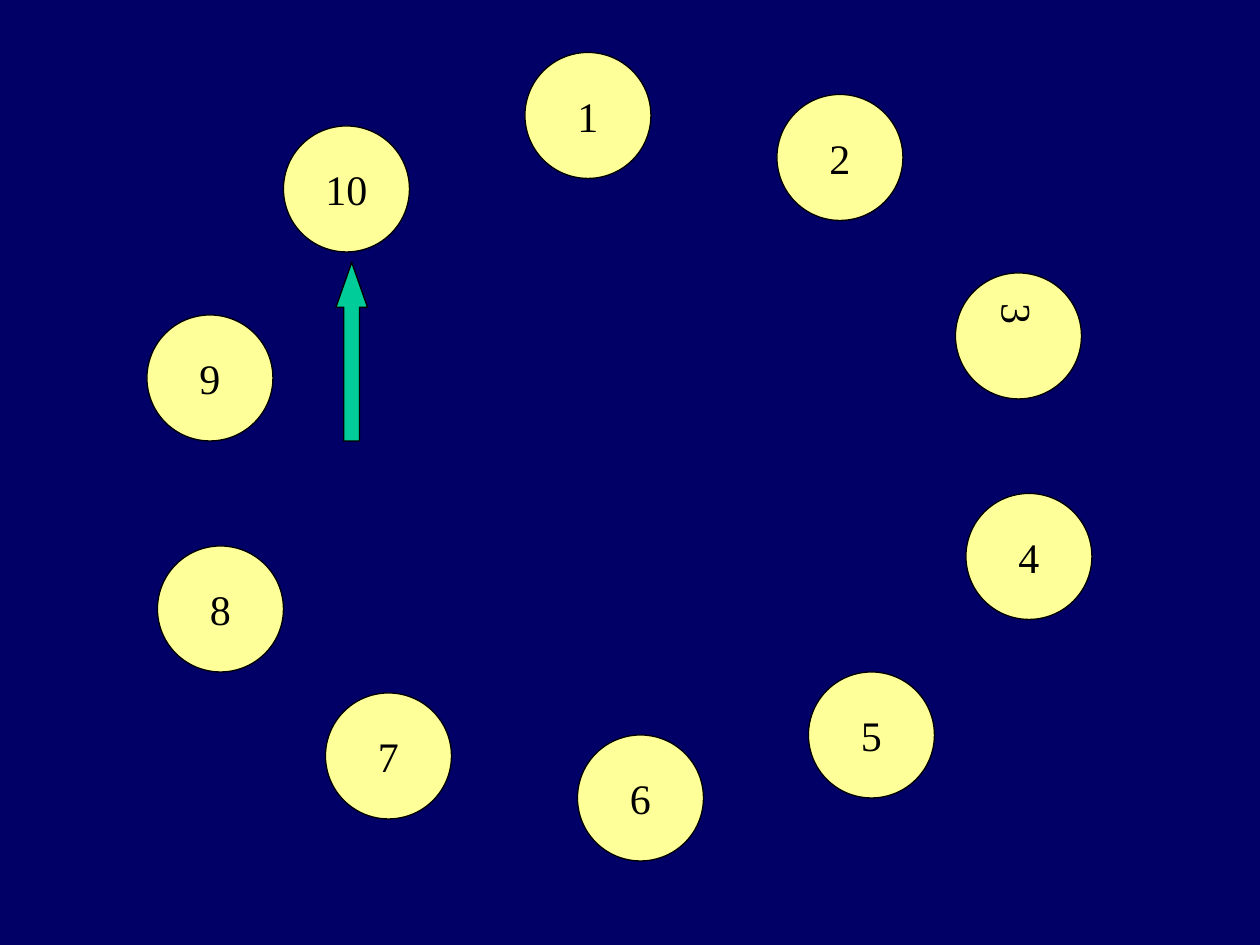
import dataclasses

import pptx
import pptx.dml.color
import pptx.enum.shapes
import pptx.enum.text
import pptx.util

SHAPES = pptx.enum.shapes.MSO_SHAPE
COLUMNS, ROWS = 120, 90
CELL = pptx.util.Inches(10) // COLUMNS
DIAMETER = 12

# Column and row of each circle, numbered clockwise from 1.
CIRCLES = [
    (50, 5), (74, 9), (91, 26), (92, 47), (77, 64),
    (55, 70), (31, 66), (15, 52), (14, 30), (27, 12),
]
SIDEWAYS_NUMBER = 3


@dataclasses.dataclass(frozen=True)
class Theme:
    background: str = "000066"
    circle: str = "FFFF99"
    arrow: str = "00CC99"
    ink: str = "000000"
    font: str = "Times New Roman"
    text_size: float = 24
    line_width: float = 0.75


THEME = Theme()


def rgb(value):
    return pptx.dml.color.RGBColor.from_string(value)


def add_outlined_shape(page, kind, column, row, columns, rows, color):
    """Add a filled preset shape placed on the grid."""
    shape = page.shapes.add_shape(
        kind, column * CELL, row * CELL, columns * CELL, rows * CELL)
    shape.shadow.inherit = False
    shape.fill.solid()
    shape.fill.fore_color.rgb = rgb(color)
    shape.line.color.rgb = rgb(THEME.ink)
    shape.line.width = pptx.util.Pt(THEME.line_width)
    return shape


def write_text(shape, text, *, size=THEME.text_size, color=THEME.ink,
               font=THEME.font, sideways=False):
    frame = shape.text_frame
    frame.word_wrap = False
    frame.vertical_anchor = pptx.enum.text.MSO_ANCHOR.MIDDLE
    if sideways:
        frame._txBody.bodyPr.set("vert", "eaVert")
        frame.margin_left = frame.margin_right = pptx.util.Inches(0.05)
        frame.margin_top = frame.margin_bottom = pptx.util.Inches(0.1)
    para = frame.paragraphs[0]
    para.alignment = pptx.enum.text.PP_ALIGN.CENTER
    span = para.add_run()
    span.text = text
    span.font.name = font
    span.font.size = pptx.util.Pt(size)
    span.font.color.rgb = rgb(color)


def add_numbered_circle(page, number, column, row):
    circle = add_outlined_shape(
        page, SHAPES.OVAL, column, row, DIAMETER, DIAMETER, THEME.circle)
    write_text(circle, str(number), sideways=number == SIDEWAYS_NUMBER)


def add_pointer(page):
    arrow = add_outlined_shape(page, SHAPES.UP_ARROW, 32, 25, 3, 17, THEME.arrow)
    arrow.adjustments[0] = 0.5
    arrow.adjustments[1] = 1.42


def main():
    deck = pptx.Presentation()
    deck.slide_width = COLUMNS * CELL
    deck.slide_height = ROWS * CELL
    page = deck.slides.add_slide(deck.slide_layouts[6])
    page.background.fill.solid()
    page.background.fill.fore_color.rgb = rgb(THEME.background)
    for number, (column, row) in enumerate(CIRCLES, start=1):
        add_numbered_circle(page, number, column, row)
    add_pointer(page)
    deck.save("out.pptx")


if __name__ == "__main__":
    main()
